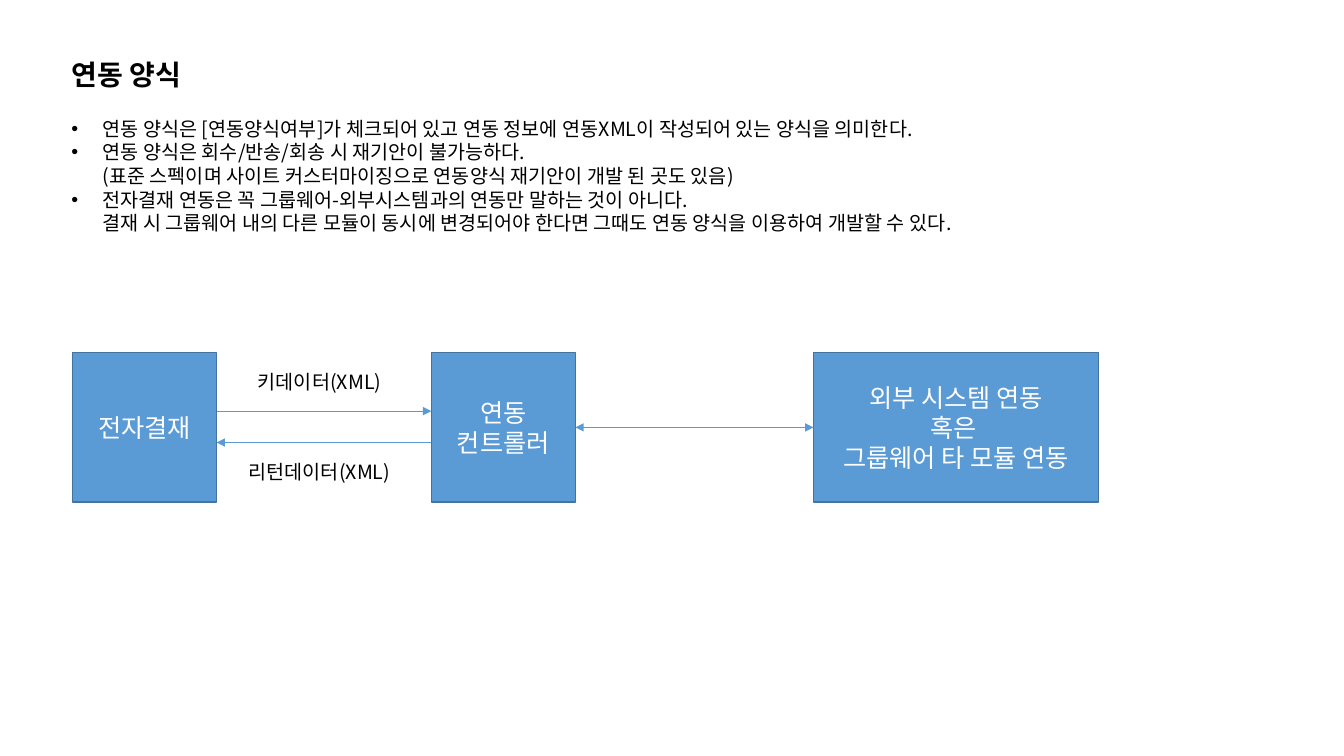
from dataclasses import dataclass

from lxml.etree import SubElement
from pptx import Presentation
from pptx.dml.color import RGBColor
from pptx.enum.shapes import MSO_CONNECTOR, MSO_SHAPE
from pptx.enum.text import MSO_ANCHOR, MSO_AUTO_SIZE, PP_ALIGN
from pptx.oxml.ns import qn
from pptx.slide import Slide
from pptx.text.text import TextFrame
from pptx.util import Cm, Pt

FONT = "Noto Sans CJK KR"
BLACK = RGBColor(0x00, 0x00, 0x00)
WHITE = RGBColor(0xFF, 0xFF, 0xFF)
BLUE = RGBColor(0x5B, 0x9B, 0xD5)
DARK_BLUE = RGBColor(0x43, 0x73, 0x9E)

BOX_TOP, BOX_HEIGHT = 8.89, 3.76
LABEL_HEIGHT = 0.86
BULLET_INDENT = Cm(0.79)


@dataclass(frozen=True)
class Box:
    left: float
    width: float
    lines: tuple[str, ...]

    @property
    def right(self) -> float:
        return self.left + self.width


@dataclass(frozen=True)
class Arrow:
    source: Box
    target: Box
    y: float
    head: bool = False
    tail: bool = False


@dataclass(frozen=True)
class Label:
    left: float
    top: float
    width: float
    text: str


APPROVAL = Box(1.83, 3.63, ("전자결재",))
CONTROLLER = Box(10.87, 3.63, ("연동", "컨트롤러"))
EXTERNAL = Box(20.5, 7.19, ("외부 시스템 연동", "혹은 ", "그룹웨어 타 모듈 연동"))
BOXES = (APPROVAL, CONTROLLER, EXTERNAL)

ARROWS = (
    Arrow(APPROVAL, CONTROLLER, 10.36, tail=True),
    Arrow(APPROVAL, CONTROLLER, 11.15, head=True),
    Arrow(CONTROLLER, EXTERNAL, BOX_TOP + BOX_HEIGHT / 2, head=True, tail=True),
)

LABELS = (
    Label(6.25, 9.19, 3.81, "키데이터(XML)"),
    Label(6.02, 11.46, 4.32, "리턴데이터(XML)"),
)

BULLETS = (
    "연동 양식은 [연동양식여부]가 체크되어 있고 연동 정보에 연동XML이 작성되어 있는 양식을 의미한다.",
    "연동 양식은 회수/반송/회송 시 재기안이 불가능하다.\n"
    "(표준 스펙이며 사이트 커스터마이징으로 연동양식 재기안이 개발 된 곳도 있음)",
    "전자결재 연동은 꼭 그룹웨어-외부시스템과의 연동만 말하는 것이 아니다. \n"
    "결재 시 그룹웨어 내의 다른 모듈이 동시에 변경되어야 한다면 그때도 연동 양식을 이용하여 개발할 수 있다.",
)


def write_lines(frame: TextFrame, lines: tuple[str, ...], size: float, color: RGBColor,
                align: PP_ALIGN = PP_ALIGN.LEFT, bold: bool = False,
                bulleted: bool = False) -> None:
    for index, line in enumerate(lines):
        paragraph = frame.add_paragraph() if index else frame.paragraphs[0]
        paragraph.text = line
        paragraph.alignment = align
        properties = paragraph._p.get_or_add_pPr()
        if bulleted:
            properties.set("marL", str(BULLET_INDENT))
            properties.set("indent", str(-BULLET_INDENT))
            SubElement(properties, qn("a:buFont"), typeface="Arial")
            SubElement(properties, qn("a:buChar"), char="•")
        font = paragraph.font
        font.name, font.size, font.bold = FONT, Pt(size), bold
        font.color.rgb = color
        # Korean text takes the East Asian typeface
        latin = properties.find(".//" + qn("a:latin"))
        east_asian = SubElement(latin.getparent(), qn("a:ea"), typeface=FONT)
        latin.addnext(east_asian)


def add_title(slide: Slide) -> None:
    title = slide.shapes.title
    title.left, title.top, title.width, title.height = Cm(1.55), Cm(1.32), Cm(3.61), Cm(1.12)
    frame = title.text_frame
    frame.word_wrap = False
    frame.auto_size = MSO_AUTO_SIZE.SHAPE_TO_FIT_TEXT
    frame.vertical_anchor = MSO_ANCHOR.TOP
    write_lines(frame, ("연동 양식",), 20, BLACK, bold=True)


def add_text(slide: Slide, left: float, top: float, width: float, height: float,
             lines: tuple[str, ...], wrap: bool = False, bulleted: bool = False) -> None:
    frame = slide.shapes.add_textbox(Cm(left), Cm(top), Cm(width), Cm(height)).text_frame
    frame.word_wrap = wrap
    frame.auto_size = MSO_AUTO_SIZE.SHAPE_TO_FIT_TEXT
    write_lines(frame, lines, 14, BLACK, bulleted=bulleted)


def add_box(slide: Slide, box: Box) -> None:
    shape = slide.shapes.add_shape(MSO_SHAPE.RECTANGLE, Cm(box.left), Cm(BOX_TOP),
                                   Cm(box.width), Cm(BOX_HEIGHT))
    shape.shadow.inherit = False
    shape.fill.solid()
    shape.fill.fore_color.rgb = BLUE
    shape.line.color.rgb = DARK_BLUE
    shape.line.width = Pt(1)
    shape.text_frame.word_wrap = True
    shape.text_frame.vertical_anchor = MSO_ANCHOR.MIDDLE
    write_lines(shape.text_frame, box.lines, 18, WHITE, PP_ALIGN.CENTER)


def add_arrow(slide: Slide, arrow: Arrow) -> None:
    connector = slide.shapes.add_connector(MSO_CONNECTOR.STRAIGHT, Cm(arrow.source.right),
                                           Cm(arrow.y), Cm(arrow.target.left), Cm(arrow.y))
    connector.line.color.rgb = BLUE
    connector.line.width = Pt(0.5)
    line = connector.line._get_or_add_ln()
    for shown, tag in ((arrow.head, "a:headEnd"), (arrow.tail, "a:tailEnd")):
        if shown:
            SubElement(line, qn(tag), type="triangle")
    SubElement(connector._element.spPr, qn("a:effectLst"))


def main() -> None:
    presentation = Presentation()
    presentation.slide_width, presentation.slide_height = Cm(33.87), Cm(19.05)
    slide = presentation.slides.add_slide(presentation.slide_layouts[5])

    # Heading and explanation
    add_title(slide)
    add_text(slide, 1.55, 2.82, 31.52, 3.25, BULLETS, wrap=True, bulleted=True)

    # Integration flow
    for box in BOXES:
        add_box(slide, box)
    for arrow in ARROWS:
        add_arrow(slide, arrow)
    for label in LABELS:
        add_text(slide, label.left, label.top, label.width, LABEL_HEIGHT, (label.text,))

    presentation.save("out.pptx")


if __name__ == "__main__":
    main()
